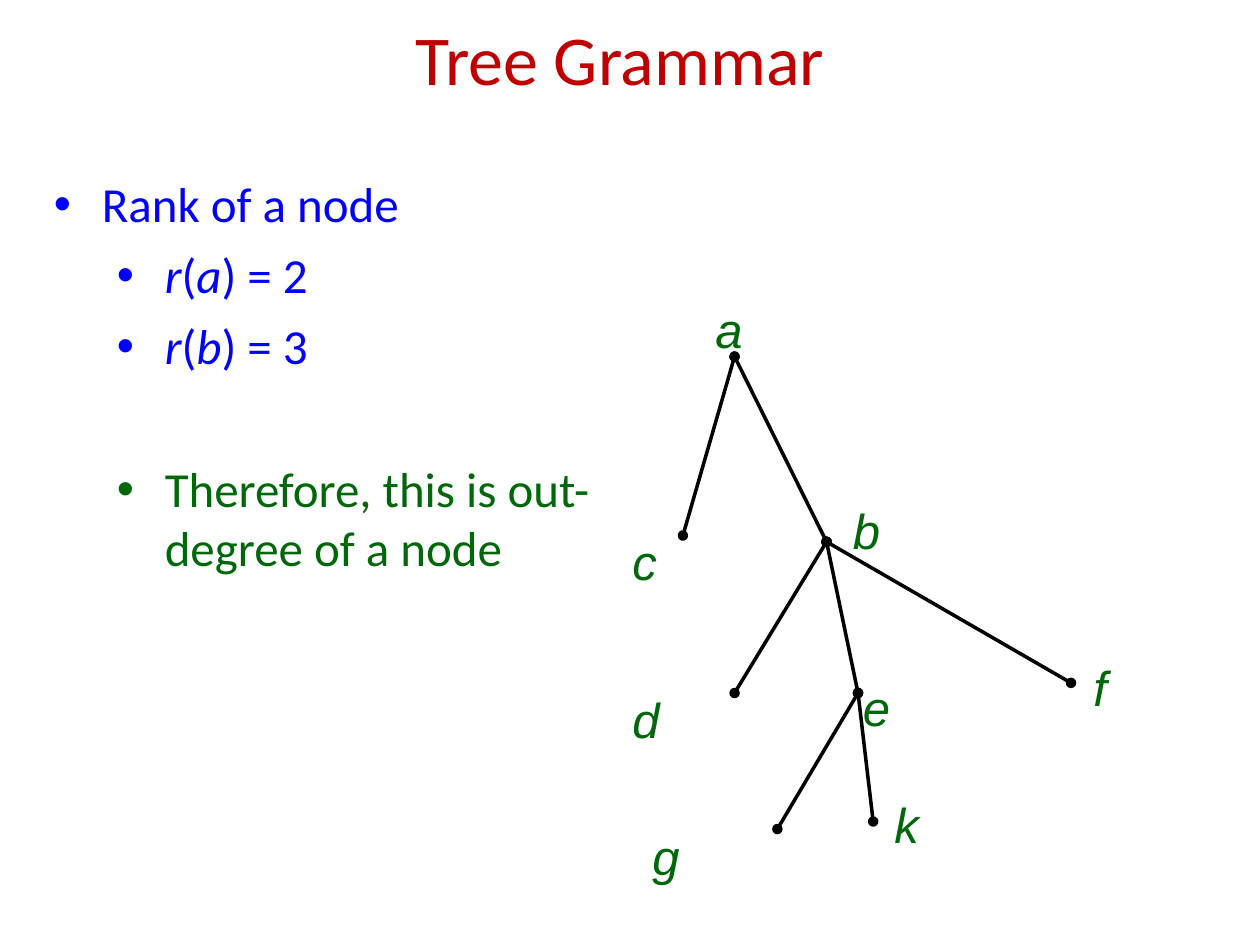
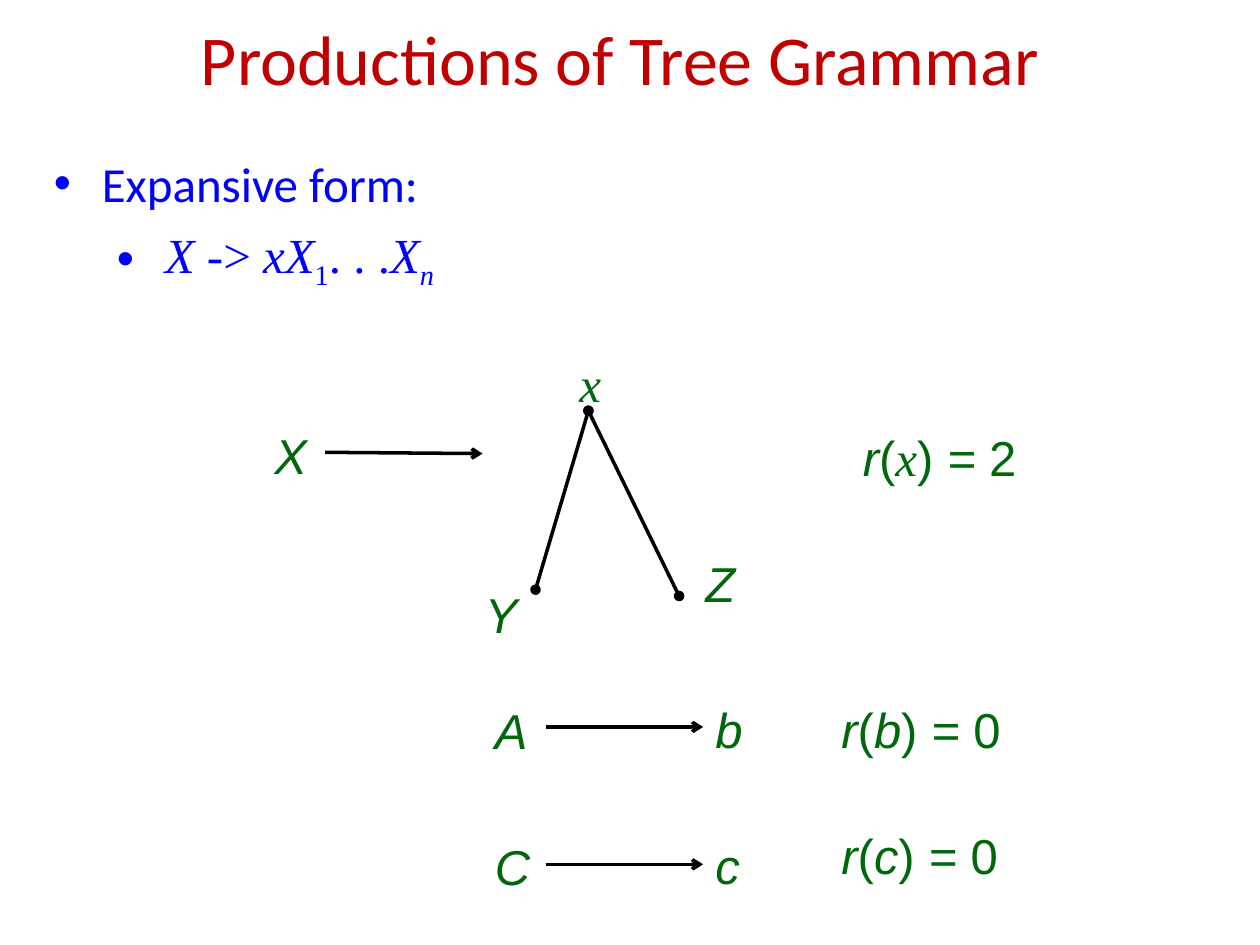
"""Build two slides on tree grammars: node ranks and expansive productions."""
from dataclasses import dataclass
from typing import NamedTuple

from lxml import etree
from pptx import Presentation, util as u
from pptx.dml import color
from pptx.enum import shapes, text
from pptx.oxml import ns

RED, BLUE, GREEN, BLACK = "C00000", "0000FF", "01670B", "000000"
SANS, BODY, SERIF = "Arial", "Calibri", "Times New Roman"
LABEL_HEIGHT = 0.57
INDENTS = (0.38, 0.88)
HANGING = 0.38
FRAME = {
    "word_wrap": True,
    "margin_left": u.Inches(0.1),
    "margin_right": u.Inches(0.1),
    "margin_top": u.Inches(0.05),
    "margin_bottom": u.Inches(0.05),
}


class Run(NamedTuple):
    """A piece of text in one style."""
    text: str
    italic: bool = False
    face: str = SANS
    subscript: bool = False


@dataclass
class Bullet:
    """One bulleted line with its level, colour and gap above."""
    runs: list[Run]
    level: int = 0
    hue: str = BLUE
    before: int = 7


@dataclass
class Node:
    """A tree node with the place of its label."""
    x: float
    y: float
    label_x: float
    label_y: float
    label_width: float = 1.42
    face: str = SANS


class Production(NamedTuple):
    """An arrow with its left symbol."""
    symbol: str
    symbol_at: tuple[float, float]
    start: tuple[float, float]
    end: tuple[float, float]


class Caption(NamedTuple):
    """A free-standing formula."""
    runs: list[Run]
    left: float
    top: float
    width: float


def rgb(value: str) -> color.RGBColor:
    """Turn a hex string into a colour."""
    return color.RGBColor.from_string(value)


def formula(pieces: str, face: str = SANS) -> list[Run]:
    """Split at bars into runs that alternate italic and upright."""
    return [Run(piece, index % 2 == 0, face)
            for index, piece in enumerate(pieces.split("|"))]


def assign(target, values: dict) -> None:
    """Set every attribute in values on target."""
    for attribute, value in values.items():
        setattr(target, attribute, value)


def add_frame(slide, left: float, top: float, width: float, height: float, **extra):
    """Add an empty text box and return its text frame."""
    frame = slide.shapes.add_textbox(*map(u.Inches, (left, top, width, height))).text_frame
    assign(frame, FRAME | extra)
    return frame


def write(paragraph, runs: list[Run], size: int, hue: str) -> None:
    """Write styled runs into a paragraph."""
    for piece in runs:
        run = paragraph.add_run()
        run.text = piece.text
        assign(run.font, {"name": piece.face, "size": u.Pt(size), "italic": piece.italic})
        run.font.color.rgb = rgb(hue)
        if piece.subscript:
            run.font._element.set("baseline", "-25000")


def add_title(slide, title: str) -> None:
    """Add the centred slide title."""
    frame = add_frame(slide, 0.17, 0.17, 9.5, 0.58, vertical_anchor=text.MSO_ANCHOR.MIDDLE)
    heading = frame.paragraphs[0]
    heading.alignment = text.PP_ALIGN.CENTER
    write(heading, [Run(title, face=BODY)], 40, RED)


def add_label(slide, runs: list[Run], left: float, top: float, width: float) -> None:
    """Add a green label that grows with its text."""
    frame = add_frame(slide, left, top, width, LABEL_HEIGHT,
                      auto_size=text.MSO_AUTO_SIZE.SHAPE_TO_FIT_TEXT)
    write(frame.paragraphs[0], runs, 28, GREEN)


def add_bullets(slide, top: float, width: float, height: float, bullets: list[Bullet]) -> None:
    """Add a bulleted list at the left margin."""
    frame = add_frame(slide, 0.33, top, width, height)
    for index, bullet in enumerate(bullets):
        paragraph = frame.add_paragraph() if index else frame.paragraphs[0]
        paragraph.level = bullet.level
        if index:
            paragraph.space_before = u.Pt(bullet.before)
        properties = paragraph._p.get_or_add_pPr()
        properties.set("marL", str(u.Inches(INDENTS[bullet.level])))
        properties.set("indent", str(-u.Inches(HANGING)))
        tint = etree.SubElement(properties, ns.qn("a:buClr"))
        etree.SubElement(tint, ns.qn("a:srgbClr"), val=bullet.hue)
        etree.SubElement(properties, ns.qn("a:buFont"), typeface=SANS)
        etree.SubElement(properties, ns.qn("a:buChar"), char="•")
        write(paragraph, bullet.runs, 28, bullet.hue)


def add_line(slide, start: tuple[float, float], end: tuple[float, float],
             ends: dict[str, str]) -> None:
    """Draw a black line with the given end marks."""
    line = slide.shapes.add_connector(shapes.MSO_CONNECTOR.STRAIGHT,
                                      *map(u.Inches, (*start, *end)))
    line.line.width = u.Pt(2)
    line.line.color.rgb = rgb(BLACK)
    stroke = line.line._get_or_add_ln()
    for mark, kind in ends.items():
        etree.SubElement(stroke, ns.qn(f"a:{mark}"), type=kind)
    etree.SubElement(line._element.spPr, ns.qn("a:effectLst"))


def add_tree(slide, nodes: dict[str, Node], edges: list[str]) -> None:
    """Draw edges, each named by its two nodes, and then the labels."""
    for parent, child in edges:
        upper, lower = nodes[parent], nodes[child]
        add_line(slide, (upper.x, upper.y), (lower.x, lower.y),
                 {"headEnd": "oval", "tailEnd": "oval"})
    for name, node in nodes.items():
        add_label(slide, formula(name, node.face), node.label_x, node.label_y, node.label_width)


def build_ranks(slide) -> None:
    """Build the slide on the rank of a node."""
    add_title(slide, "Tree Grammar")
    add_bullets(slide, 1.33, 4.67, 5.33, [
        Bullet([Run("Rank of a node", face=BODY)]),
        Bullet(formula("r|(|a|) = 2", BODY), 1),
        Bullet(formula("r|(|b|) = 3", BODY), 1),
        Bullet([Run("Therefore, this is out-degree of a node", face=BODY)], 1, GREEN, 48),
    ])
    add_tree(slide, {
        "a": Node(5.83, 2.83, 5.58, 2.33, 0.5),
        "b": Node(6.56, 4.3, 6.67, 3.92),
        "c": Node(5.42, 4.25, 4.92, 4.17),
        "d": Node(5.83, 5.5, 4.92, 5.42),
        "e": Node(6.81, 5.5, 6.75, 5.33),
        "f": Node(8.5, 5.42, 8.58, 5.17),
        "g": Node(6.17, 6.58, 5.08, 6.51),
        "k": Node(6.93, 6.52, 7, 6.26),
    }, ["eg", "ek", "bd", "bf", "be", "ac", "ab"])


def build_productions(slide) -> None:
    """Build the slide on expansive productions."""
    add_title(slide, "Productions of Tree Grammar")
    add_bullets(slide, 1.17, 8.92, 1.33, [
        Bullet([Run("Expansive form:", face=BODY)]),
        Bullet([*formula("X| -> |xX", SERIF), Run("1", False, SERIF, True),
                Run(". . .", False, SERIF), Run("X", True, SERIF),
                Run("n", True, SERIF, True)], 1),
    ])
    add_tree(slide, {
        "x": Node(4.67, 3.26, 4.5, 2.76, 0.5, SERIF),
        "Y": Node(4.25, 4.68, 3.75, 4.59, 0.58),
        "Z": Node(5.39, 4.73, 5.5, 4.34, 0.5),
    }, ["xY", "xZ"])
    for production in (
        Production("X", (2.08, 3.33), (2.58, 3.59), (3.83, 3.6)),
        Production("A", (3.83, 5.51), (4.33, 5.77), (5.58, 5.77)),
        Production("C", (3.83, 6.59), (4.33, 6.86), (5.58, 6.86)),
    ):
        add_line(slide, production.start, production.end, {"tailEnd": "arrow"})
        add_label(slide, formula(production.symbol), *production.symbol_at, 0.58)
    rank_x = formula("r|(|x|) |= |2")
    rank_x[2] = rank_x[2]._replace(face=SERIF)
    for caption in (
        Caption(formula("b"), 5.58, 5.5, 0.58),
        Caption(formula("c"), 5.58, 6.58, 0.58),
        Caption(formula("r|(|b|) |= |0"), 6.58, 5.5, 1.58),
        Caption(formula("r|(|c|) |= |0"), 6.58, 6.5, 1.58),
        Caption(rank_x, 6.75, 3.34, 1.58),
    ):
        add_label(slide, *caption)


def main() -> None:
    """Build and save the presentation."""
    deck = Presentation()
    deck.slide_width, deck.slide_height = u.Inches(10), u.Inches(7.5)
    for build in (build_ranks, build_productions):
        build(deck.slides.add_slide(deck.slide_layouts[6]))
    deck.save("out.pptx")


if __name__ == "__main__":
    main()
